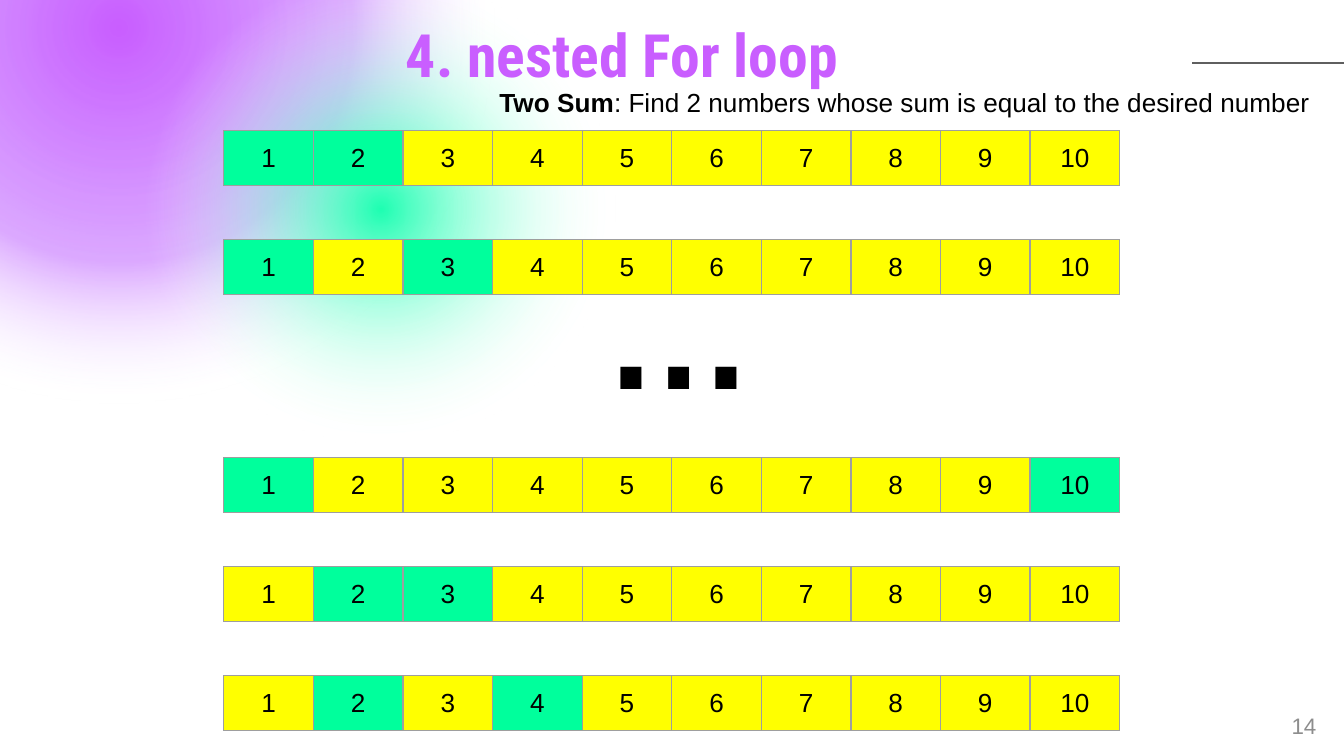
from dataclasses import dataclass

from lxml.etree import SubElement
from pptx import Presentation
from pptx.dml.color import RGBColor
from pptx.enum.shapes import MSO_CONNECTOR, MSO_SHAPE
from pptx.enum.text import MSO_ANCHOR, MSO_AUTO_SIZE, PP_ALIGN
from pptx.oxml import parse_xml
from pptx.oxml.ns import nsdecls, qn
from pptx.util import Cm, Pt

PURPLE = RGBColor(0xC9, 0x5E, 0xFF)
LILAC = RGBColor(0xBF, 0x62, 0xFF)
MINT = RGBColor(0x1E, 0xFF, 0xB2)
GREEN = RGBColor(0x00, 0xFF, 0x9C)
YELLOW = RGBColor(0xFF, 0xFF, 0x00)
WHITE = RGBColor(0xFF, 0xFF, 0xFF)
BLACK = RGBColor(0x00, 0x00, 0x00)
BORDER_GREY = RGBColor(0x9E, 0x9E, 0x9E)
NUMBER_GREY = RGBColor(0x8D, 0x8D, 0x8D)
RULE_GREY = RGBColor(0x5F, 0x5F, 0x5F)

BODY_FONT = "Arial"
TITLE_FONT = "Roboto Condensed"
VALUES = range(1, 11)
ARRAY_LEFT, ARRAY_TOP, ARRAY_WIDTH, ARRAY_HEIGHT = 4.23, 2.47, 16.93, 1.04
ARRAY_PITCH = 2.06


@dataclass(frozen=True)
class Stop:
    position: int
    color: RGBColor
    opacity: int = 100


@dataclass(frozen=True)
class Glow:
    left: float
    top: float
    diameter: float
    stops: tuple[Stop, ...]


@dataclass(frozen=True)
class Step:
    slot: int
    pair: tuple[int, int]


GLOWS = (
    Glow(-6, -7.72, 16.48, (Stop(0, PURPLE), Stop(38, LILAC, 54),
                            Stop(61, WHITE, 0), Stop(100, WHITE, 0))),
    Glow(0.91, -2.34, 12.55, (Stop(0, MINT), Stop(50, WHITE, 0), Stop(100, WHITE, 0))),
)
# Slot 2 holds the ellipsis
STEPS = (Step(0, (1, 2)), Step(1, (1, 3)), Step(3, (1, 10)), Step(4, (2, 3)), Step(5, (2, 4)))


def add_glow(page, glow: Glow) -> None:
    size = Cm(glow.diameter)
    oval = page.shapes.add_shape(MSO_SHAPE.OVAL, Cm(glow.left), Cm(glow.top), size, size)
    oval.shadow.inherit = False
    oval.line.fill.background()
    stops = "".join(
        f'<a:gs pos="{stop.position * 1000}"><a:srgbClr val="{stop.color}">'
        f'<a:alpha val="{stop.opacity * 1000}"/></a:srgbClr></a:gs>'
        for stop in glow.stops
    )
    gradient = parse_xml(
        f'<a:gradFill {nsdecls("a")} rotWithShape="1"><a:gsLst>{stops}</a:gsLst>'
        '<a:path path="circle"><a:fillToRect l="50000" t="50000" r="50000" b="50000"/>'
        '</a:path></a:gradFill>'
    )
    oval.element.spPr.find(qn("a:prstGeom")).addnext(gradient)


def add_text(page, left: float, top: float, width: float, height: float,
             spans: tuple[tuple[str, bool], ...], size: int,
             color: RGBColor = BLACK, align: PP_ALIGN = PP_ALIGN.LEFT,
             anchor: MSO_ANCHOR = MSO_ANCHOR.TOP) -> None:
    box = page.shapes.add_textbox(Cm(left), Cm(top), Cm(width), Cm(height))
    frame = box.text_frame
    frame.word_wrap = True
    frame.vertical_anchor = anchor
    para = frame.paragraphs[0]
    para.alignment = align
    para.font.name, para.font.size = BODY_FONT, Pt(size)
    para.font.color.rgb = color
    for text, bold in spans:
        span = para.add_run()
        span.text, span.font.bold = text, bold


def add_borders(cell) -> None:
    properties = cell._tc.get_or_add_tcPr()
    for index, side in enumerate(("lnL", "lnR", "lnT", "lnB")):
        border = parse_xml(
            f'<a:{side} {nsdecls("a")} w="{Pt(0.75)}"><a:solidFill>'
            f'<a:srgbClr val="{BORDER_GREY}"/></a:solidFill></a:{side}>'
        )
        properties.insert(index, border)


def add_array(page, step: Step) -> None:
    top = ARRAY_TOP + step.slot * ARRAY_PITCH
    table = page.shapes.add_table(1, len(VALUES), Cm(ARRAY_LEFT), Cm(top),
                                  Cm(ARRAY_WIDTH), Cm(ARRAY_HEIGHT)).table
    table.first_row = table.horz_banding = False
    for value, cell in zip(VALUES, table.iter_cells()):
        cell.text = str(value)
        cell.vertical_anchor = MSO_ANCHOR.MIDDLE
        cell.fill.solid()
        cell.fill.fore_color.rgb = GREEN if value in step.pair else YELLOW
        para = cell.text_frame.paragraphs[0]
        para.alignment = PP_ALIGN.CENTER
        para.font.name, para.font.size = BODY_FONT, Pt(14)
        para.font.color.rgb = BLACK
        add_borders(cell)


def add_rule(page) -> None:
    rule = page.shapes.add_connector(MSO_CONNECTOR.STRAIGHT, Cm(22.53), Cm(1.19),
                                     Cm(25.45), Cm(1.19))
    rule.line.color.rgb = RULE_GREY
    rule.line.width = Pt(0.75)
    SubElement(rule.element.spPr, qn("a:effectLst"))


def place_title(page) -> None:
    title = page.shapes.title
    title.left, title.top, title.width, title.height = Cm(7.42), Cm(0.46), Cm(15.11), Cm(1.5)
    frame = title.text_frame
    frame.text = "4. nested For loop"
    frame.auto_size = MSO_AUTO_SIZE.NONE
    frame.vertical_anchor = MSO_ANCHOR.TOP
    frame.margin_left = frame.margin_right = Cm(0.25)
    frame.margin_top = frame.margin_bottom = Cm(0.25)
    para = frame.paragraphs[0]
    para.alignment = PP_ALIGN.LEFT
    para.line_spacing = 0.7
    para.font.name, para.font.size, para.font.bold = TITLE_FONT, Pt(32), True
    para.font.color.rgb = PURPLE
    # Bring the title in front of the glows
    title.element.getparent().append(title.element)


def main() -> None:
    deck = Presentation()
    deck.slide_width, deck.slide_height = Cm(25.4), Cm(14.29)
    page = deck.slides.add_slide(deck.slide_layouts.get_by_name("Title Only"))

    # Background
    for glow in GLOWS:
        add_glow(page, glow)

    # Slide number and task
    add_text(page, 23.83, 13.23, 1.3, 0.99, (("14", False),), 12, NUMBER_GREY,
             PP_ALIGN.RIGHT, MSO_ANCHOR.MIDDLE)
    add_text(page, 9.19, 1.5, 15.95, 0.86,
             (("Two Sum", True),
              (": Find 2 numbers whose sum is equal to the desired number", False)), 14)

    # Steps of the search
    for step in STEPS:
        add_array(page, step)
    add_text(page, 11.18, 4.42, 4.22, 3.68, (("…", True),), 80)

    # Heading
    add_rule(page)
    place_title(page)

    deck.save("out.pptx")


if __name__ == "__main__":
    main()
